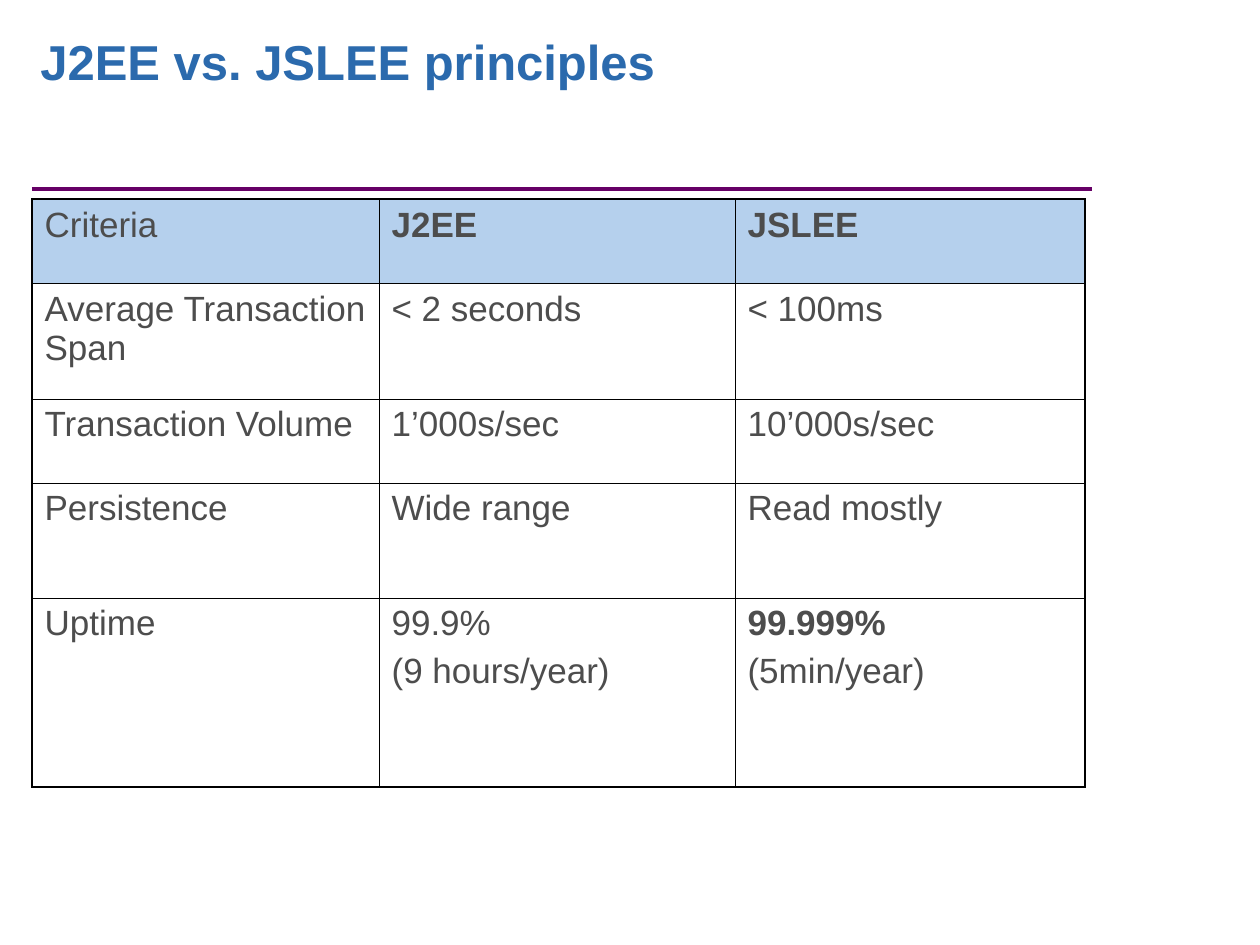
"""Build the slide that compares J2EE and JSLEE principles in a table."""
from dataclasses import dataclass

from lxml import etree
from pptx import Presentation
from pptx.dml.color import RGBColor
from pptx.enum.shapes import MSO_CONNECTOR
from pptx.enum.text import MSO_ANCHOR
from pptx.oxml.ns import qn
from pptx.util import Emu, Pt

STRAIGHT = MSO_CONNECTOR.STRAIGHT
TOP = MSO_ANCHOR.TOP

FONT = "Arial"
BLUE = RGBColor(0x2B, 0x6A, 0xAD)
PURPLE = RGBColor(0x66, 0x00, 0x66)
GRAY = RGBColor(0x4D, 0x4D, 0x4D)
HEADER_FILL = RGBColor(0xB5, 0xD0, 0xED)
BLACK = RGBColor(0x00, 0x00, 0x00)

OUTER, INNER = Pt(1.08), Pt(0.45)
COLUMNS = (347, 356, 350)


@dataclass(frozen=True)
class Line:
    text: str
    bold: bool = False


@dataclass(frozen=True)
class Row:
    height: int
    cells: tuple[tuple[Line, ...], ...]


ROWS = (
    Row(84, ((Line("Criteria"),), (Line("J2EE", True),), (Line("JSLEE", True),))),
    Row(116, ((Line("Average Transaction Span"),), (Line("< 2 seconds"),), (Line("< 100ms"),))),
    Row(84, ((Line("Transaction Volume"),), (Line("1’000s/sec"),), (Line("10’000s/sec"),))),
    Row(115, ((Line("Persistence"),), (Line("Wide range"),), (Line("Read mostly"),))),
    Row(189, (
        (Line("Uptime"),),
        (Line("99.9%"), Line("(9 hours/year)")),
        (Line("99.999%", True), Line("(5min/year)")),
    )),
)


def px(n: int) -> Emu:
    """Turn pixels into EMU at 126 pixels to the inch."""
    return Emu(round(n * 914400 / 126))


def write(tf, lines: tuple[Line, ...], *, size: int, color: RGBColor,
          before: int = 0, spacing: float = 1.0) -> None:
    """Fill a text frame with one paragraph for each line."""
    tf.word_wrap = True
    for i, line in enumerate(lines):
        p = tf.add_paragraph() if i else tf.paragraphs[0]
        p.line_spacing = spacing
        if i:
            p.space_before = Pt(before)
        r = p.add_run()
        r.text = line.text
        r.font.name, r.font.size, r.font.bold = FONT, Pt(size), line.bold
        r.font.color.rgb = color


def set_borders(cell, widths: dict[str, Emu]) -> None:
    """Give a cell solid black borders of the given widths."""
    tc_pr = cell._tc.get_or_add_tcPr()
    for i, (side, width) in enumerate(widths.items()):
        ln = etree.Element(qn(f"a:ln{side}"), w=str(int(width)))
        fill = etree.SubElement(ln, qn("a:solidFill"))
        etree.SubElement(fill, qn("a:srgbClr"), val=str(BLACK))
        tc_pr.insert(i, ln)


def add_title(s, text: str) -> None:
    """Add the slide title."""
    tf = s.shapes.add_textbox(px(28), px(32), px(1053), px(157)).text_frame
    tf.vertical_anchor = TOP
    write(tf, (Line(text, True),), size=28, color=BLUE, spacing=0.9)


def add_rule(s) -> None:
    """Add the rule under the title."""
    rule = s.shapes.add_connector(STRAIGHT, px(32), px(189), px(1092), px(189))
    rule.line.color.rgb = PURPLE
    rule.line.width = Pt(2.25)
    etree.SubElement(rule._element.spPr, qn("a:effectLst"))


def add_criteria_table(s) -> None:
    """Add the comparison table."""
    last_row, last_col = len(ROWS) - 1, len(COLUMNS) - 1
    height = sum(row.height for row in ROWS)
    table = s.shapes.add_table(len(ROWS), len(COLUMNS), px(32), px(199),
                               px(sum(COLUMNS)), px(height)).table
    table.first_row = table.horz_banding = False
    for column, width in zip(table.columns, COLUMNS):
        column.width = px(width)
    for i, row in enumerate(ROWS):
        table.rows[i].height = px(row.height)
        for j, lines in enumerate(row.cells):
            cell = table.cell(i, j)
            write(cell.text_frame, lines, size=20, color=GRAY, before=5)
            if i == 0:
                cell.fill.solid()
                cell.fill.fore_color.rgb = HEADER_FILL
            else:
                cell.fill.background()
            set_borders(cell, {
                "L": OUTER if j == 0 else INNER,
                "R": OUTER if j == last_col else INNER,
                "T": OUTER if i == 0 else INNER,
                "B": OUTER if i == last_row else INNER,
            })


def main() -> None:
    """Build and save the slide."""
    prs = Presentation()
    prs.slide_width, prs.slide_height = px(1260), px(945)
    s = prs.slides.add_slide(prs.slide_layouts[6])
    add_rule(s)
    add_title(s, "J2EE vs. JSLEE principles")
    add_criteria_table(s)
    prs.save("out.pptx")


if __name__ == "__main__":
    main()
